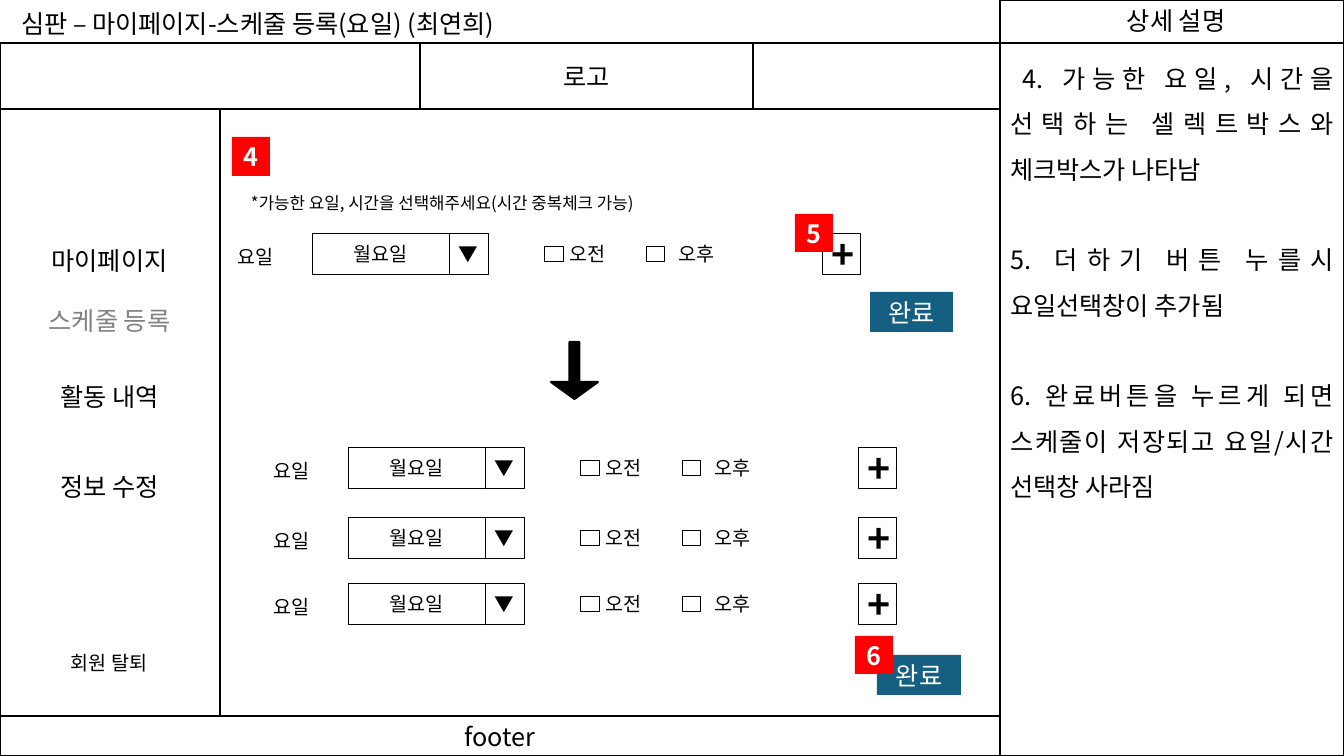
from dataclasses import dataclass
from typing import Optional

from lxml import etree
from pptx import Presentation
from pptx.dml.color import RGBColor
from pptx.enum.shapes import MSO_SHAPE
from pptx.enum.text import MSO_ANCHOR, MSO_AUTO_SIZE, PP_ALIGN
from pptx.oxml.ns import qn
from pptx.util import Emu, Pt

RECT, DOWN_ARROW = MSO_SHAPE.RECTANGLE, MSO_SHAPE.DOWN_ARROW
TOP, MIDDLE = MSO_ANCHOR.TOP, MSO_ANCHOR.MIDDLE
LEFT, CENTER, JUSTIFY = PP_ALIGN.LEFT, PP_ALIGN.CENTER, PP_ALIGN.JUSTIFY
NO_AUTOFIT = MSO_AUTO_SIZE.NONE
EMU_PER_PX = 914400 / 100.8


@dataclass(frozen=True)
class Theme:
    font: str = "Noto Sans CJK KR"
    black: str = "000000"
    white: str = "FFFFFF"
    grey: str = "808080"
    red: str = "FF0000"
    teal: str = "156082"
    note: int = 12
    small: int = 14
    body: int = 18
    plus: int = 28
    hairline: float = 0.25
    frame: float = 1
    arrow: float = 1.5


THEME = Theme()


@dataclass(frozen=True)
class Box:
    x: int
    y: int
    w: int
    h: int

    def shifted(self, dx: int, dy: int) -> "Box":
        return Box(self.x + dx, self.y + dy, self.w, self.h)


@dataclass(frozen=True)
class Para:
    text: str
    size: int = THEME.body
    color: str = THEME.black
    bold: bool = False
    align: PP_ALIGN = LEFT
    spacing: float = 1.0
    before: float = 0


@dataclass(frozen=True)
class Block:
    box: Box
    para: Optional[Para] = None
    fill: Optional[str] = None
    line: Optional[float] = None


def px(n: int) -> Emu:
    return Emu(round(n * EMU_PER_PX))


def place(sp, box: Box) -> None:
    sp.left, sp.top, sp.width, sp.height = (px(n) for n in (box.x, box.y, box.w, box.h))


def write(sp, paras: list[Para], anchor: MSO_ANCHOR = TOP, wrap: bool = True) -> None:
    tf = sp.text_frame
    tf.auto_size = NO_AUTOFIT
    tf.word_wrap = wrap
    tf.vertical_anchor = anchor
    for i, para in enumerate(paras):
        p = tf.paragraphs[0] if i == 0 else tf.add_paragraph()
        p.alignment = para.align
        p.line_spacing = para.spacing
        p.space_before = Pt(para.before)
        r = p.add_run()
        r.text = para.text
        r.font.name = THEME.font
        r.font.size = Pt(para.size)
        r.font.bold = para.bold
        r.font.color.rgb = RGBColor.from_string(para.color)
        ea = etree.SubElement(r.font._element, qn("a:ea"))
        ea.set("typeface", THEME.font)


def add_text(shapes, box: Box, paras: list[Para], wrap: bool = True) -> None:
    sp = shapes.add_textbox(*(px(n) for n in (box.x, box.y, box.w, box.h)))
    write(sp, paras, wrap=wrap)


def add_block(shapes, block: Block, kind: MSO_SHAPE = RECT):
    b = block.box
    sp = shapes.add_shape(kind, px(b.x), px(b.y), px(b.w), px(b.h))
    sp.shadow.inherit = False
    if block.fill:
        sp.fill.solid()
        sp.fill.fore_color.rgb = RGBColor.from_string(block.fill)
    else:
        sp.fill.background()
    if block.line:
        sp.line.width = Pt(block.line)
        sp.line.color.rgb = RGBColor.from_string(THEME.black)
    else:
        sp.line.fill.background()
    if block.para:
        write(sp, [block.para], MIDDLE)
    return sp


def centred(text: str, size: int = THEME.body, color: str = THEME.black, bold: bool = False) -> Para:
    return Para(text, size, color, bold, CENTER)


FRAMES = [
    Block(Box(1000, 43, 344, 713), None, THEME.white, THEME.frame),
    Block(Box(1000, 0, 344, 43), None, THEME.white, THEME.frame),
    Block(Box(0, 109, 220, 607), None, None, THEME.frame),
    Block(Box(0, 716, 1000, 40), centred("footer"), THEME.white, THEME.frame),
    Block(Box(0, 43, 1000, 66), None, THEME.white, THEME.frame),
    Block(Box(420, 43, 333, 66), centred("로고"), THEME.white, THEME.frame),
]
ROW_BLOCKS = [
    Block(Box(0, 0, 137, 41), centred("월요일", THEME.small), None, THEME.hairline),
    Block(Box(137, 0, 39, 41), centred("▼", THEME.small), None, THEME.hairline),
    Block(Box(510, 0, 38, 41), centred("+", THEME.plus, bold=True), None, THEME.hairline),
    Block(Box(232, 13, 19, 15), None, None, THEME.hairline),
    Block(Box(334, 13, 18, 15), None, None, THEME.hairline),
]
ROW_LABELS = [
    (Box(-84, 7, 84, 34), "요일"),
    (Box(248, 4, 59, 34), "오전"),
    (Box(357, 4, 69, 34), "오후"),
]
ROW_ORIGINS = [(312, 233), (348, 447), (348, 517), (348, 583)]
DONE_BUTTONS = [Box(870, 292, 83, 40), Box(877, 655, 84, 40)]
BADGES = [(Box(232, 137, 38, 39), "4"), (Box(795, 214, 38, 38), "5"), (Box(855, 636, 38, 38), "6")]
MENU = [
    centred("마이페이지"),
    Para("스케줄 등록", color=THEME.grey, align=CENTER, before=21.6),
    Para("활동 내역", align=CENTER, spacing=1.5, before=21.6),
    Para("정보 수정", align=CENTER, spacing=1.5, before=32.4),
]
DETAILS = [
    Para(" 4. 가능한 요일, 시간을 선택하는 셀렉트박스와 체크박스가 나타남", align=JUSTIFY, spacing=1.5),
    Para("5. 더하기 버튼 누를시 요일선택창이 추가됨", align=JUSTIFY, spacing=1.5, before=32.4),
    Para("6. 완료버튼을 누르게 되면 스케줄이 저장되고 요일/시간 선택창 사라짐",
         align=JUSTIFY, spacing=1.5, before=32.4),
]


def add_row(shapes, x: int, y: int) -> None:
    group = shapes.add_group_shape()
    for b in ROW_BLOCKS:
        add_block(group.shapes, Block(b.box.shifted(x, y), b.para, b.fill, b.line))
    for box, text in ROW_LABELS:
        add_text(group.shapes, box.shifted(x, y), [Para(text, THEME.small)])


def add_details(body) -> None:
    place(body, Box(1000, 43, 344, 463))
    write(body, DETAILS)
    for p in body.text_frame.paragraphs:
        pPr = p._p.get_or_add_pPr()
        pPr.set("marL", "0")
        pPr.set("indent", "0")
        etree.SubElement(pPr, qn("a:buNone"))
    body.element.getparent().append(body.element)


def main() -> None:
    prs = Presentation()
    prs.slide_width, prs.slide_height = px(1344), px(756)
    s = prs.slides.add_slide(prs.slide_layouts[1])
    title, body = s.placeholders
    place(title, Box(11, 3, 543, 40))
    write(title, [Para("심판 – 마이페이지-스케줄 등록(요일) (최연희)")], wrap=False)

    for frame in FRAMES:
        add_block(s.shapes, frame)
    add_details(body)
    add_text(s.shapes, Box(1117, 0, 131, 40), [Para("상세 설명")], wrap=False)
    add_text(s.shapes, Box(61, 646, 132, 34), [Para("회원 탈퇴", THEME.small)])
    add_text(s.shapes, Box(16, 240, 187, 310), MENU)
    add_text(s.shapes, Box(241, 188, 436, 30),
             [Para("*가능한 요일, 시간을 선택해주세요(시간 중복체크 가능)", THEME.note)])
    for x, y in ROW_ORIGINS:
        add_row(s.shapes, x, y)
    arrow = add_block(s.shapes, Block(Box(551, 342, 47, 57), None, THEME.black, THEME.arrow), DOWN_ARROW)
    arrow.adjustments[0], arrow.adjustments[1] = 0.21, 0.36
    for box in DONE_BUTTONS:
        add_block(s.shapes, Block(box, centred("완료", color=THEME.white), THEME.teal))
    for box, number in BADGES:
        add_block(s.shapes, Block(box, centred(number, color=THEME.white, bold=True), THEME.red))
    prs.save("out.pptx")


if __name__ == "__main__":
    main()
